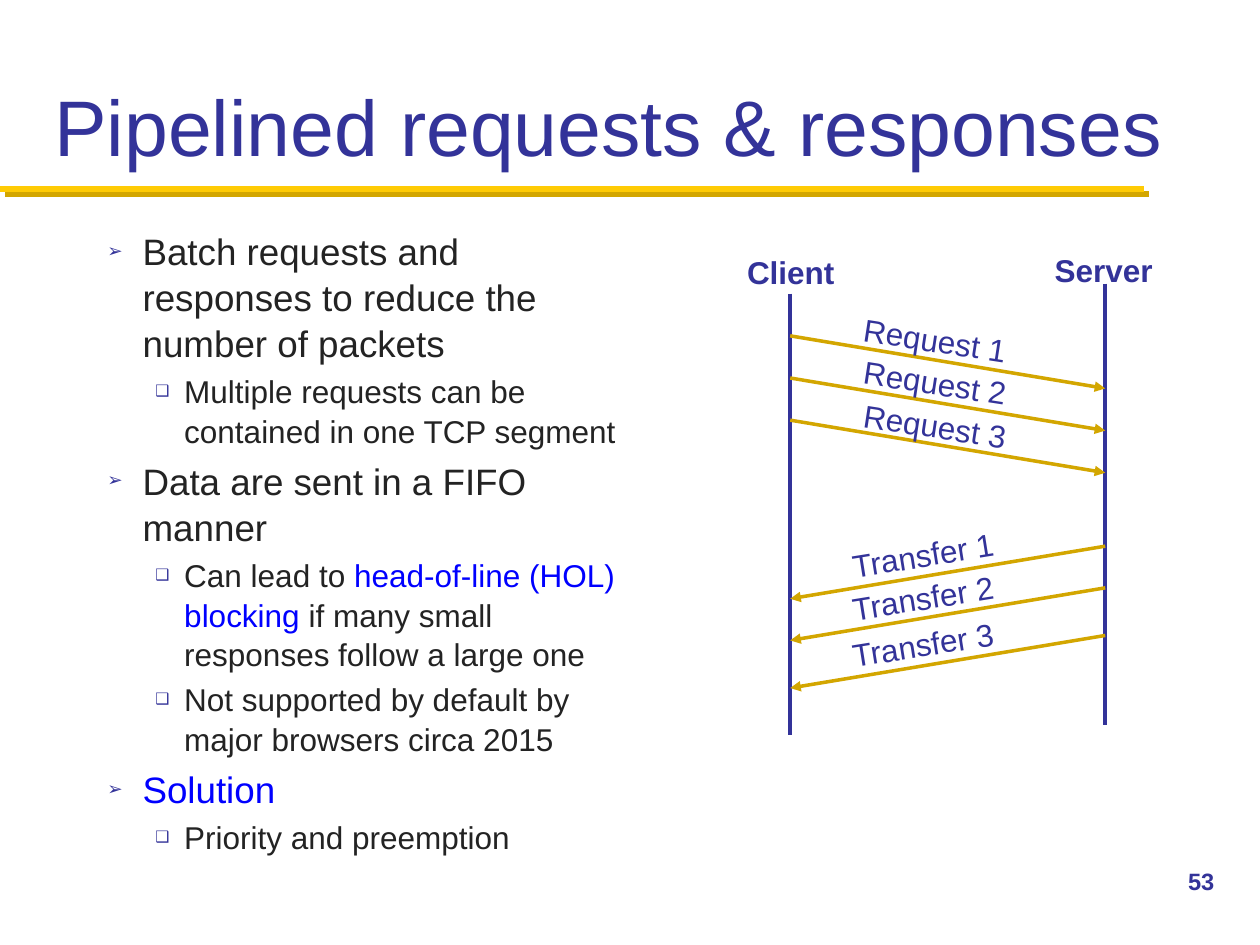
"""Build a slide on pipelined requests and responses with a client-server timeline."""
from lxml.etree import SubElement
from pptx import Presentation
from pptx.dml.color import RGBColor
from pptx.enum.shapes import MSO_CONNECTOR
from pptx.enum.text import MSO_ANCHOR, MSO_AUTO_SIZE, PP_ALIGN
from pptx.oxml.ns import qn
from pptx.util import Cm, Pt

COLORS = {
    "navy": "333399",
    "gold": "FFCB05",
    "ochre": "D3A600",
    "ink": "232323",
    "blue": "0000FF",
}
FONT = "Arial"
LEVELS = [
    {"size": 21, "bullet": "➢", "margin": 0.71, "hanging": 0.71},
    {"size": 18, "bullet": "❑", "margin": 1.55, "hanging": 0.58},
]
POINTS = [
    (0, [("Batch requests and responses to reduce the number of packets", "ink")]),
    (1, [("Multiple requests can be contained in one TCP segment", "ink")]),
    (0, [("Data are sent in a FIFO manner", "ink")]),
    (1, [("Can lead to ", "ink"), ("head-of-line (HOL) blocking", "blue"),
         (" if many small responses follow a large one", "ink")]),
    (1, [("Not supported by default by major browsers circa 2015", "ink")]),
    (0, [("Solution", "blue")]),
    (1, [("Priority and preemption", "ink")]),
]
CLIENT_X, SERVER_X = 15.93, 22.28
LIFELINE_LENGTH = 8.89
MESSAGE_DROP = 1.06
LABEL_HEIGHT = 1.04
REQUESTS = [(6.77, 6.35), (7.62, 7.2), (8.47, 8.08)]
TRANSFERS = [(11.01, 10.67), (11.85, 11.53), (12.81, 12.47)]


class SlideBuilder:
    """Hold the deck, the current page and the shared text and line styles."""

    def __init__(self):
        self.deck = Presentation()
        self.deck.slide_width, self.deck.slide_height = Cm(25.4), Cm(19.05)
        self.page = self.deck.slides.add_slide(self.deck.slide_layouts[1])

    def color(self, name):
        return RGBColor.from_string(COLORS[name])

    def style(self, span, size, color, bold=False):
        span.font.name = FONT
        span.font.size = Pt(size)
        span.font.bold = bold
        span.font.color.rgb = self.color(color)

    def place(self, box, left, top, width, height):
        box.left, box.top, box.width, box.height = map(Cm, (left, top, width, height))

    def title(self, text, *bounds):
        box = self.page.shapes.title
        self.place(box, *bounds)
        frame = box.text_frame
        frame.text = text
        frame.auto_size = MSO_AUTO_SIZE.NONE
        frame.vertical_anchor = MSO_ANCHOR.BOTTOM
        frame.paragraphs[0].alignment = PP_ALIGN.LEFT
        self.style(frame.paragraphs[0].runs[0], 45, "navy")

    def bullet(self, paragraph, level):
        properties = paragraph._p.get_or_add_pPr()
        properties.set("marL", str(Cm(level["margin"])))
        properties.set("indent", str(-Cm(level["hanging"])))
        color = SubElement(properties, qn("a:buClr"))
        SubElement(color, qn("a:srgbClr"), val=COLORS["navy"])
        SubElement(properties, qn("a:buSzPct"), val="50000")
        SubElement(properties, qn("a:buFont"), typeface=FONT)
        SubElement(properties, qn("a:buChar"), char=level["bullet"])

    def body(self, points, *bounds):
        box = self.page.placeholders[1]
        self.place(box, *bounds)
        frame = box.text_frame
        frame.auto_size = MSO_AUTO_SIZE.NONE
        for index, (depth, spans) in enumerate(points):
            level = LEVELS[depth]
            paragraph = frame.add_paragraph() if index else frame.paragraphs[0]
            paragraph.level = depth
            self.bullet(paragraph, level)
            paragraph.line_spacing = 1.04
            paragraph.space_before = Pt(0.2 * level["size"] if index else 0)
            for text, color in spans:
                span = paragraph.add_run()
                span.text = text
                self.style(span, level["size"], color)

    def label(self, text, *bounds, size=18, bold=False, rotation=0):
        box = self.page.shapes.add_textbox(*map(Cm, bounds))
        box.rotation = rotation
        frame = box.text_frame
        frame.text = text
        frame.word_wrap = False
        self.style(frame.paragraphs[0].runs[0], size, "navy", bold)

    def line(self, start, end, color, width=2, arrow=False, shadow=None):
        connector = self.page.shapes.add_connector(
            MSO_CONNECTOR.STRAIGHT, *map(Cm, (*start, *end)))
        connector.line.color.rgb = self.color(color)
        connector.line.width = Pt(width)
        if arrow:
            SubElement(connector.line._get_or_add_ln(), qn("a:tailEnd"), type="triangle")
        effects = SubElement(connector._element.spPr, qn("a:effectLst"))
        if shadow:
            cast = SubElement(effects, qn("a:outerShdw"), dist=str(Pt(4.2)),
                              dir="2700000", algn="ctr", rotWithShape="0")
            SubElement(cast, qn("a:srgbClr"), val=COLORS[shadow])

    def lifeline(self, name, x, top, label_bounds):
        self.line((x, top), (x, top + LIFELINE_LENGTH), "navy")
        self.label(name, *label_bounds, bold=True)

    def messages(self, name, rows, start_x, end_x, label_x, rotation):
        for number, (top, label_top) in enumerate(rows, 1):
            self.line((start_x, top), (end_x, top + MESSAGE_DROP), "ochre", arrow=True)
            self.label(f"{name} {number}", label_x, label_top, 3.47, LABEL_HEIGHT,
                       rotation=rotation)


def main():
    builder = SlideBuilder()
    builder.line((0, 3.81), (23.06, 3.81), "gold", width=3.5, shadow="ochre")
    builder.title("Pipelined requests & responses", 0.84, 0.43, 23.7, 3.18)
    builder.body(POINTS, 1.91, 4.45, 10.8, 12.27)
    builder.label("53", 23.7, 17.35, 1.7, 1.27, size=13.5, bold=True)
    builder.lifeline("Client", CLIENT_X, 5.92, (14.81, 4.98, 2.34, LABEL_HEIGHT))
    builder.lifeline("Server", SERVER_X, 5.72, (21.01, 4.93, 2.54, LABEL_HEIGHT))
    builder.messages("Request", REQUESTS, CLIENT_X, SERVER_X, 17.15, 8.7)
    builder.messages("Transfer", TRANSFERS, SERVER_X, CLIENT_X, 16.92, 350.9)
    builder.deck.save("out.pptx")


if __name__ == "__main__":
    main()
